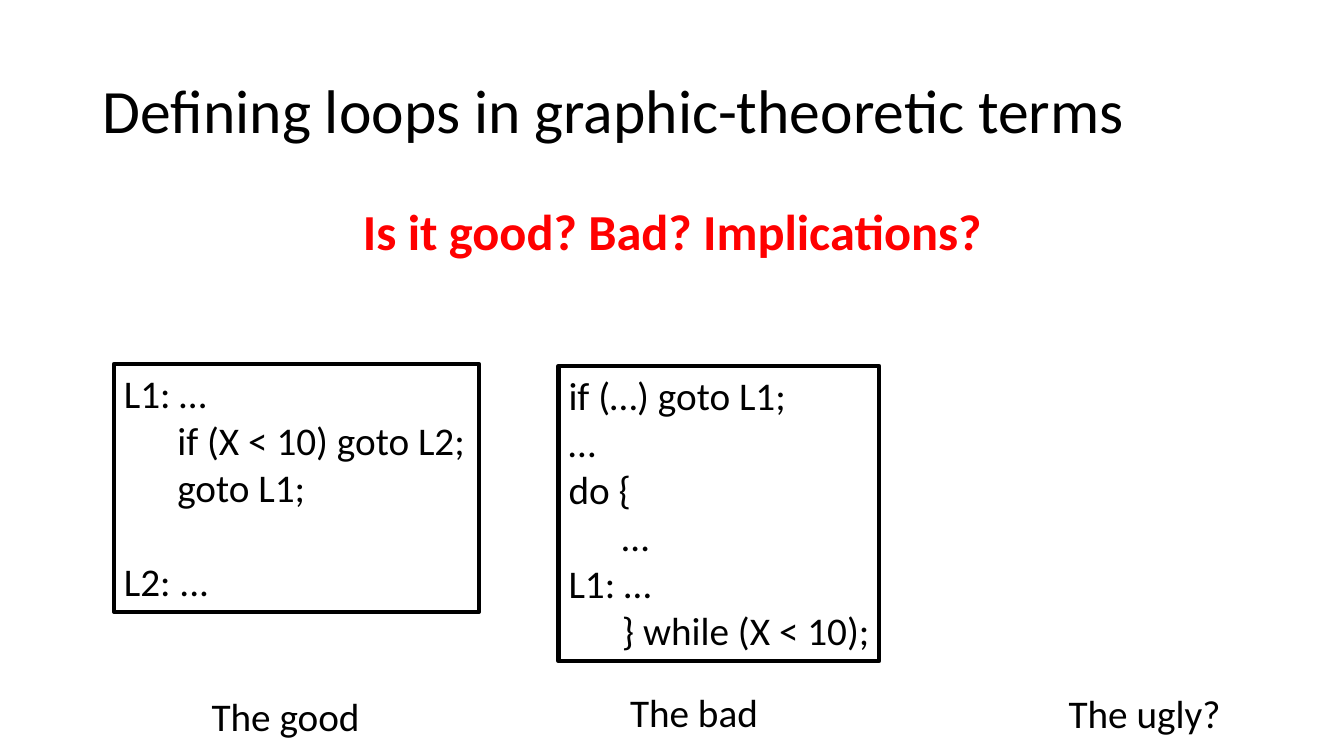
import pptx
import pptx.util
import pptx.dml.color
import pptx.enum.shapes
import pptx.enum.text
from dataclasses import dataclass

# Content: boxes are (left, top, width, height) in px, 100 px to the inch
TITLE = ("Defining loops in graphic-theoretic terms", (92, 40, 1150, 145))
QUESTION = ("Is it good? Bad? Implications?", (92, 200, 1150, 74))

# Code lines are (text, indent level, blank lines above)
CODE = [
    ((113, 361, 362, 246), [
        ("L1: …", 0, 0),
        ("if (X < 10) goto L2;", 1, 0),
        ("goto L1;", 1, 0),
        ("L2: ...", 0, 1),
    ]),
    ((554, 363, 318, 293), [
        ("if (…) goto L1;", 0, 0),
        ("…", 0, 0),
        ("do {", 0, 0),
        ("…", 1, 0),
        ("L1: …", 0, 0),
        ("} while (X < 10);", 1, 0),
    ]),
]
CAPTIONS = [
    ("The good", (200, 682, 169, 57)),
    ("The bad", (615, 678, 148, 57)),
    ("The ugly?", (1050, 679, 172, 57)),
]


@dataclass(frozen=True)
class Theme:
    font: str = "Calibri"
    ink: str = "000000"
    accent: str = "FF0000"
    title: int = 44
    question: int = 36
    body: int = 28
    border: int = 3
    blank_line: int = 34
    indent: int = 53


THEME = Theme()
MSO_ANCHOR = pptx.enum.text.MSO_ANCHOR
PP_ALIGN = pptx.enum.text.PP_ALIGN


def px(n):
    return pptx.util.Emu(n * 9144)


def rgb(value):
    return pptx.dml.color.RGBColor.from_string(value)


def add_run(p, text, size, color=THEME.ink, bold=False):
    r = p.add_run()
    r.text = text
    r.font.name = THEME.font
    r.font.size = pptx.util.Pt(size)
    r.font.bold = bold
    r.font.color.rgb = rgb(color)


def add_text(slide, text, box, size, **style):
    tf = slide.shapes.add_textbox(*map(px, box)).text_frame
    tf.word_wrap = True
    add_run(tf.paragraphs[0], text, size, **style)
    return tf


def add_code(slide, box, lines):
    sp = slide.shapes.add_shape(
        pptx.enum.shapes.MSO_SHAPE.RECTANGLE, *map(px, box))
    sp.shadow.inherit = False
    sp.fill.background()
    sp.line.color.rgb = rgb(THEME.ink)
    sp.line.width = pptx.util.Pt(THEME.border)
    tf = sp.text_frame
    tf.word_wrap = True
    tf.margin_right = 0  # leaves room for the longest line
    tf.vertical_anchor = MSO_ANCHOR.TOP
    for i, (text, level, blanks) in enumerate(lines):
        p = tf.add_paragraph() if i else tf.paragraphs[0]
        p.alignment = PP_ALIGN.LEFT
        p.space_before = pptx.util.Pt(blanks * THEME.blank_line)
        p._p.get_or_add_pPr().set("marL", str(px(level * THEME.indent)))
        add_run(p, text, THEME.body)


def main():
    prs = pptx.Presentation()
    prs.slide_width, prs.slide_height = px(1333), px(750)
    slide = prs.slides.add_slide(prs.slide_layouts[6])

    # Title and question
    tf = add_text(slide, *TITLE, THEME.title)
    tf.vertical_anchor = MSO_ANCHOR.MIDDLE
    tf.paragraphs[0].line_spacing = 0.9
    tf = add_text(slide, *QUESTION, THEME.question,
                  color=THEME.accent, bold=True)
    tf.paragraphs[0].alignment = PP_ALIGN.CENTER
    tf.paragraphs[0].line_spacing = 0.9
    tf.paragraphs[0].space_before = pptx.util.Pt(10)

    # Code samples
    for box, lines in CODE:
        add_code(slide, box, lines)

    # Captions
    for text, box in CAPTIONS:
        tf = add_text(slide, text, box, THEME.body)
        tf.word_wrap = False
        tf.auto_size = pptx.enum.text.MSO_AUTO_SIZE.SHAPE_TO_FIT_TEXT

    prs.save("out.pptx")


if __name__ == "__main__":
    main()
